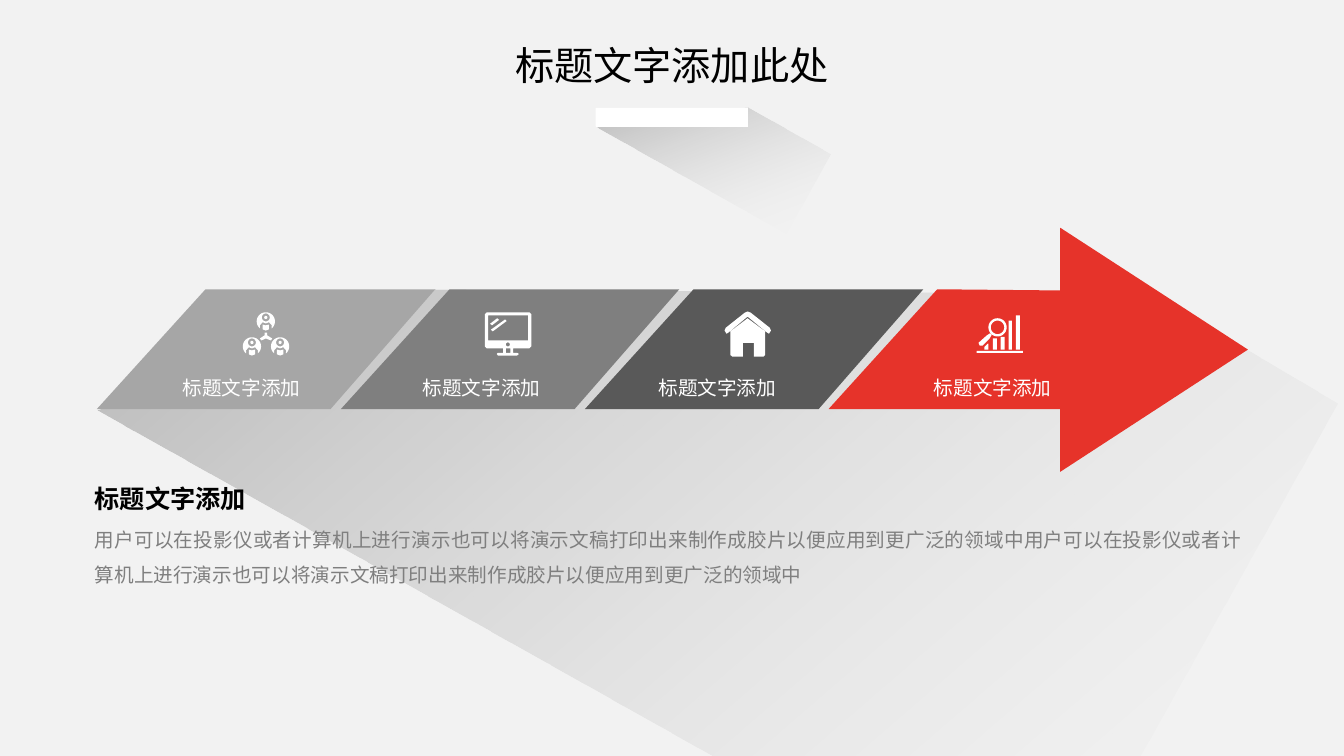
from dataclasses import dataclass
from math import cos, radians, sin

from lxml.etree import SubElement
from pptx import Presentation
from pptx.dml.color import RGBColor
from pptx.enum.shapes import MSO_SHAPE
from pptx.enum.text import MSO_ANCHOR, MSO_AUTO_SIZE, PP_ALIGN
from pptx.oxml.ns import qn
from pptx.shapes.base import BaseShape
from pptx.slide import Slide
from pptx.util import Cm, Pt

Point = tuple[float, float]
Contour = list[Point]

FONT = "Noto Sans CJK SC"
BLACK = RGBColor(0x00, 0x00, 0x00)
WHITE = RGBColor(0xFF, 0xFF, 0xFF)
PAPER = RGBColor(0xF2, 0xF2, 0xF2)
LIGHT_GRAY = RGBColor(0xA6, 0xA6, 0xA6)
GRAY = RGBColor(0x7F, 0x7F, 0x7F)
DARK_GRAY = RGBColor(0x59, 0x59, 0x59)
RED = RGBColor(0xE6, 0x33, 0x2A)

SHADOW_TILT = 29.2
BAND_TOP, BAND_BOTTOM = 7.29, 10.31
BAND_LEFT, BAND_PITCH = 2.44, 6.15
LABEL_TOP, LABEL_WIDTH, LABEL_HEIGHT = 9.22, 5.38, 0.97
TITLE = "标题文字添加此处"
LABEL = "标题文字添加"
SENTENCE = "用户可以在投影仪或者计算机上进行演示也可以将演示文稿打印出来制作成胶片以便应用到更广泛的领域中"


@dataclass(frozen=True)
class Step:
    color: RGBColor
    label_left: float
    icon_left: float
    icon_top: float
    icon: list[Contour]


def arc(x: float, y: float, radius: float, start: int = 0, end: int = 360) -> Contour:
    return [(x + radius * cos(radians(a)), y + radius * sin(radians(a)))
            for a in range(start, end, 10)]


def rectangle(left: float, top: float, right: float, bottom: float) -> Contour:
    return [(left, top), (right, top), (right, bottom), (left, bottom)]


def move(contour: Contour, dx: float, dy: float) -> Contour:
    return [(x + dx, y + dy) for x, y in contour]


def turn(contour: Contour, degrees: float) -> Contour:
    c, s = cos(radians(degrees)), sin(radians(degrees))
    return [(x * c - y * s, x * s + y * c) for x, y in contour]


def person(x: float, y: float) -> list[Contour]:
    collar = [(-0.15, 0.1), (-0.08, 0.02), (0, 0.05), (0.08, 0.02), (0.15, 0.1)]
    disc = arc(0, 0, 0.23, 130, 420) + collar[::-1]
    body = [(-0.08, 0.08), (0, 0.1), (0.08, 0.08), (0.08, 0.2), (0, 0.23), (-0.08, 0.2)]
    parts = [disc, arc(0, -0.1, 0.1), arc(0, -0.1, 0.04), body]
    return [move(part, x, y) for part in parts]


TEAM_ICON = [
    *person(0.58, 0.23), *person(0.23, 0.86), *person(0.94, 0.86),
    [(0.55, 0.51), (0.61, 0.51), (0.61, 0.58), (0.74, 0.66), (0.71, 0.71),
     (0.58, 0.66), (0.47, 0.71), (0.43, 0.66), (0.55, 0.58)],
]
MONITOR_ICON = [
    [(0.05, 0), (1.12, 0), (1.17, 0.05), (1.17, 0.86), (1.12, 0.91), (0.71, 0.91),
     (0.71, 1.02), (0.81, 1.02), (0.86, 1.05), (0.81, 1.09), (0.33, 1.09), (0.3, 1.05),
     (0.33, 1.02), (0.46, 1.02), (0.46, 0.91), (0.05, 0.91), (0, 0.86), (0, 0.05)],
    rectangle(0.08, 0.08, 1.09, 0.71),
    [(0.51, 0.18), (0.55, 0.22), (0.2, 0.48), (0.15, 0.44)],
    [(0.31, 0.15), (0.36, 0.19), (0.18, 0.33), (0.13, 0.29)],
    arc(0.58, 0.81, 0.05),
    rectangle(0.53, 0.91, 0.64, 1.02),
]
HOUSE_ICON = [
    [(0.58, 0.17), (1.02, 0.5), (1.02, 1.1), (0.98, 1.14), (0.74, 1.14), (0.74, 0.79),
     (0.46, 0.79), (0.46, 1.14), (0.2, 1.14), (0.15, 1.1), (0.15, 0.5)],
    [(0.58, 0), (0.66, 0.03), (1.14, 0.41), (1.17, 0.48), (1.12, 0.56), (1.07, 0.53),
     (0.58, 0.13), (0.1, 0.53), (0.05, 0.56), (0, 0.48), (0.03, 0.41), (0.51, 0.03)],
]
CHART_ICON = [
    rectangle(0, 0.89, 1.17, 0.94),
    [(0.28, 0.71), (0.3, 0.71), (0.3, 0.86), (0.2, 0.86), (0.2, 0.79)],
    rectangle(0.41, 0.58, 0.51, 0.86),
    rectangle(0.61, 0.54, 0.71, 0.86),
    rectangle(0.81, 0.13, 0.89, 0.86),
    rectangle(0.99, 0, 1.09, 0.86),
    arc(0.53, 0.3, 0.23), arc(0.53, 0.3, 0.17),
    [(0.34, 0.45), (0.38, 0.49), (0.33, 0.58), (0.15, 0.76), (0.08, 0.76),
     (0.05, 0.69), (0.25, 0.51)],
]
STEPS = [
    Step(LIGHT_GRAY, 3.4, 6.12, 7.87, TEAM_ICON),
    Step(GRAY, 9.45, 12.22, 7.87, MONITOR_ICON),
    Step(DARK_GRAY, 15.39, 18.26, 7.85, HOUSE_ICON),
    Step(RED, 22.33, 24.61, 7.95, CHART_ICON),
]
BAND = [(0, BAND_BOTTOM), (2.74, BAND_TOP), (8.53, BAND_TOP), (5.89, BAND_BOTTOM)]
ARROW = [(26.72, 5.74), (31.45, 8.81), (26.72, 11.89), (26.72, BAND_BOTTOM),
         (20.88, BAND_BOTTOM), (23.62, BAND_TOP), (26.72, 7.32)]
ARROW_SHADOW = [(2.46, 10.34), (10.97, 7.29), (26.52, 7.37), (31.39, 8.79),
                (33.71, 10.16), (26.16, 23.65)]
BAR_SHADOW = [(15.01, 3.2), (18.85, 2.72), (20.93, 3.89), (19.81, 5.89)]


def paint(shape: BaseShape, color: RGBColor) -> None:
    shape.shadow.inherit = False
    shape.line.fill.background()
    shape.fill.solid()
    shape.fill.fore_color.rgb = color


def add_outline(page: Slide, contours: list[Contour], color: RGBColor) -> BaseShape:
    scaled = [[(Cm(x), Cm(y)) for x, y in contour] for contour in contours]
    builder = page.shapes.build_freeform(*scaled[0][0])
    for number, contour in enumerate(scaled):
        if number:
            builder.move_to(*contour[0])
        builder.add_line_segments(contour[1:], close=True)
    shape = builder.convert_to_shape()
    paint(shape, color)
    return shape


def add_long_shadow(page: Slide, contour: Contour, gradient_angle: float) -> None:
    """Draw a fading outline whose gradient follows the tilt of the shape."""
    level = turn(contour, -SHADOW_TILT)
    center_x, center_y = ((min(axis) + max(axis)) / 2 for axis in zip(*level))
    [(turned_x, turned_y)] = turn([(center_x, center_y)], SHADOW_TILT)
    shape = add_outline(page, [move(level, turned_x - center_x, turned_y - center_y)], PAPER)
    shape.rotation = SHADOW_TILT
    shape.fill.gradient()
    shape.fill.gradient_angle = 360 - gradient_angle
    for stop, position, color, opacity in zip(
            shape.fill.gradient_stops, (0, 1), (BLACK, PAPER), (30, 0)):
        stop.position = position
        stop.color.rgb = color
    for color_node, opacity in zip(shape.element.iter(qn("a:srgbClr")), (30, 0)):
        SubElement(color_node, qn("a:alpha")).set("val", str(opacity * 1000))


def write_text(box: BaseShape, text: str, *, size: int, color: RGBColor, bold: bool = False,
               align: PP_ALIGN = PP_ALIGN.CENTER, spacing: float = 1.0,
               wrap: bool = True) -> None:
    frame = box.text_frame
    frame.word_wrap = wrap
    frame.auto_size = MSO_AUTO_SIZE.SHAPE_TO_FIT_TEXT
    frame.vertical_anchor = MSO_ANCHOR.TOP
    frame.margin_left = frame.margin_right = frame.margin_top = frame.margin_bottom = Cm(0.13)
    para = frame.paragraphs[0]
    para.alignment = align
    para.line_spacing = spacing
    span = para.add_run()
    span.text = text
    span.font.size = Pt(size)
    span.font.bold = bold
    span.font.color.rgb = color
    span.font.name = FONT
    SubElement(span.font._element, qn("a:ea")).set("typeface", FONT)


def add_text(page: Slide, left: float, top: float, width: float, height: float,
             text: str, **style) -> None:
    box = page.shapes.add_textbox(Cm(left), Cm(top), Cm(width), Cm(height))
    write_text(box, text, **style)


def main() -> None:
    deck = Presentation()
    deck.slide_width, deck.slide_height = Cm(33.87), Cm(19.05)
    page = deck.slides.add_slide(deck.slide_layouts[5])
    page.background.fill.solid()
    page.background.fill.fore_color.rgb = PAPER

    title = page.shapes.title
    title.left, title.top, title.width, title.height = Cm(12.83), Cm(0.91), Cm(8.2), Cm(1.68)
    write_text(title, TITLE, size=28, color=BLACK, wrap=False)

    add_long_shadow(page, ARROW_SHADOW, 20)
    add_long_shadow(page, BAR_SHADOW, 40)
    bar = page.shapes.add_shape(MSO_SHAPE.RECTANGLE, Cm(15.01), Cm(2.72), Cm(3.84), Cm(0.48))
    paint(bar, WHITE)

    for number, step in enumerate(STEPS):
        is_last = number == len(STEPS) - 1
        outline = ARROW if is_last else move(BAND, BAND_LEFT + number * BAND_PITCH, 0)
        add_outline(page, [outline], step.color)
        add_text(page, step.label_left, LABEL_TOP, LABEL_WIDTH, LABEL_HEIGHT, LABEL,
                 size=14, color=WHITE, spacing=1.2)
        icon = [move(contour, step.icon_left, step.icon_top) for contour in step.icon]
        add_outline(page, icon, WHITE)

    add_text(page, 2.26, 12.88, 29.18, 2.01, SENTENCE * 2, size=14, color=GRAY,
             align=PP_ALIGN.JUSTIFY, spacing=1.5)
    add_text(page, 2.26, 11.89, 6.22, 1.14, LABEL, size=18, color=BLACK, bold=True,
             align=PP_ALIGN.JUSTIFY, spacing=1.2)
    deck.save("out.pptx")


if __name__ == "__main__":
    main()
